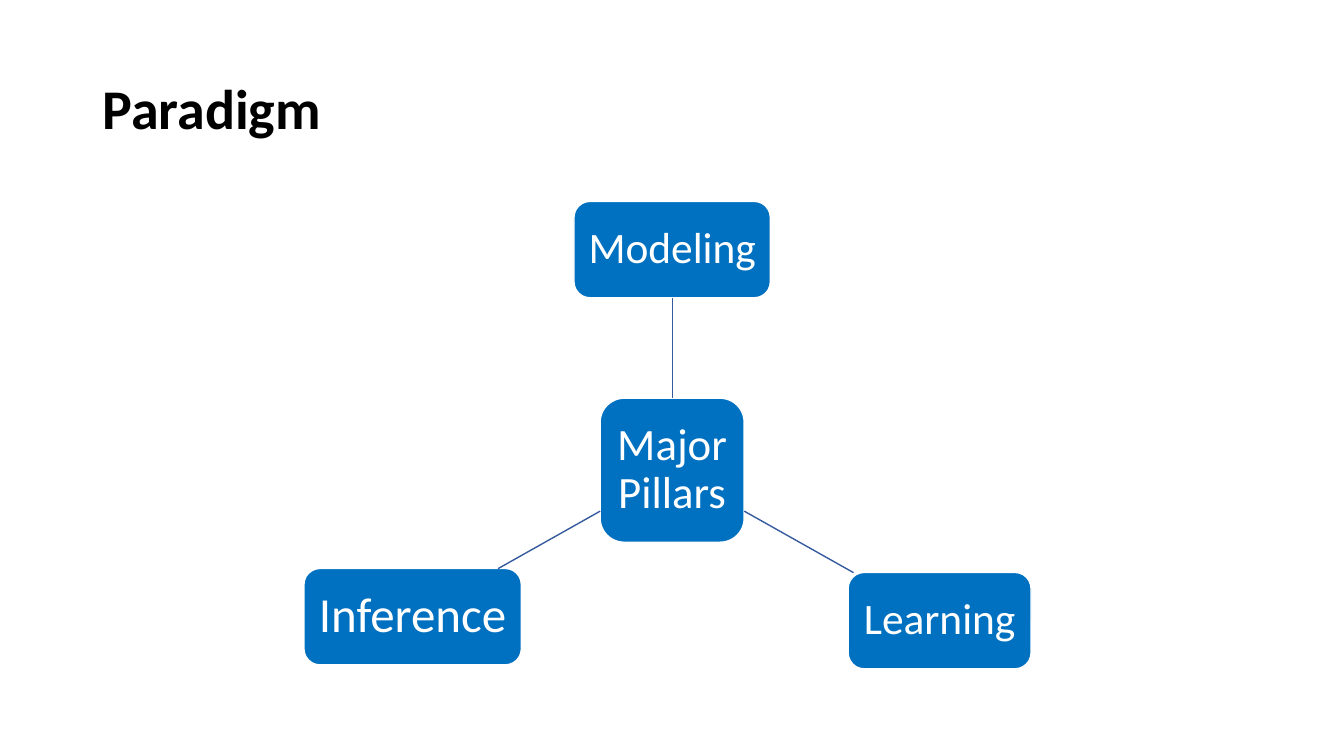
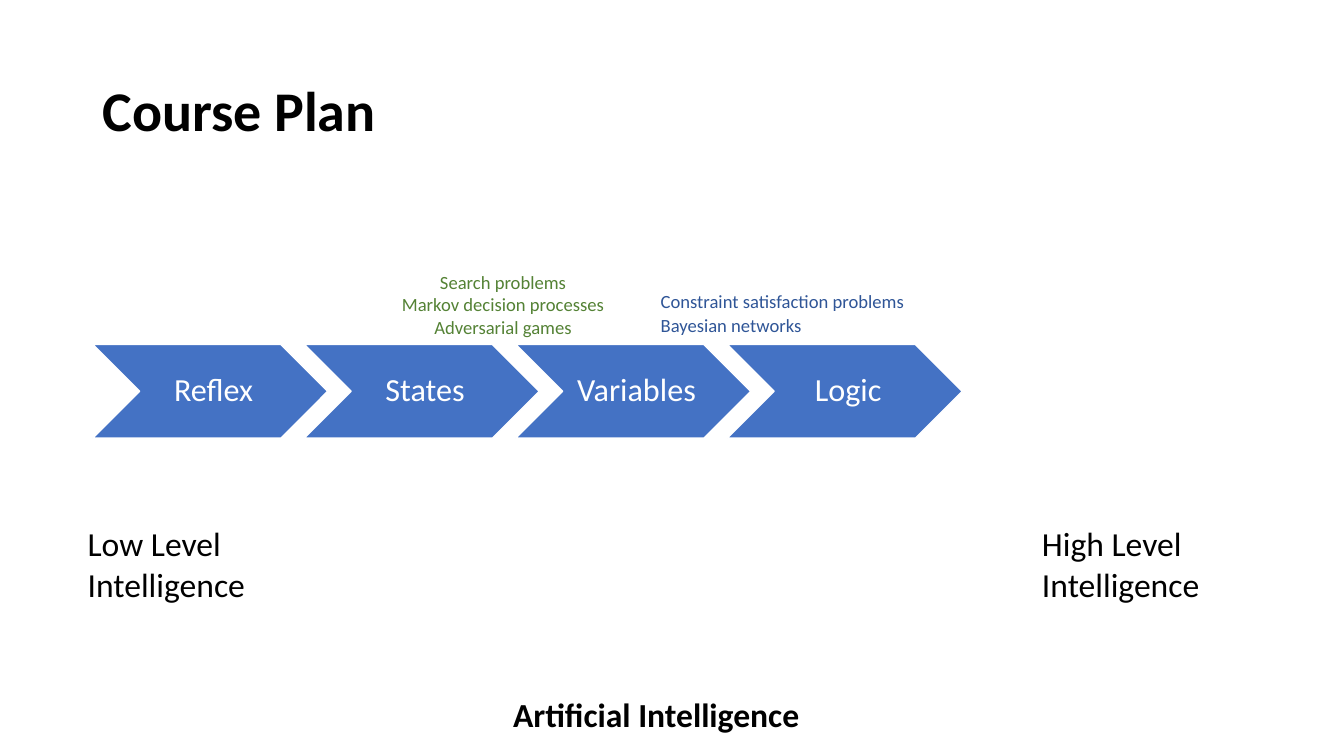
import pptx
import pptx.dml.color
import pptx.enum.shapes
import pptx.enum.text
import pptx.oxml.ns
import pptx.util
from lxml import etree

Cm, Pt = pptx.util.Cm, pptx.util.Pt
RGB = pptx.dml.color.RGBColor.from_string
SHAPE = pptx.enum.shapes.MSO_SHAPE
ALIGN = pptx.enum.text.PP_ALIGN
ANCHOR = pptx.enum.text.MSO_ANCHOR

FONT = "Calibri"
COLORS = {
    "text": "000000",
    "white": "FFFFFF",
    "pillar": "0070C0",
    "spoke": "365B9D",
    "step": "4472C4",
    "states": "548235",
    "variables": "2F5597",
}


def write(tf, text, size, color, align=ALIGN.LEFT, bold=False, spacing=1.0, before=0):
    """Fill a text frame, one paragraph per line of text, in a single style."""
    tf.text = text
    for p in tf.paragraphs:
        p.alignment = align
        p.line_spacing = spacing
        p.space_before = Pt(before)
        for r in p.runs:
            r.font.name = FONT
            r.font.size = Pt(size)
            r.font.bold = bold
            r.font.color.rgb = RGB(COLORS[color])


def add_block(s, preset, box, color, text, size, insets):
    """Add a filled shape with a white outline and centred white text."""
    sp = s.shapes.add_shape(preset, *[Cm(v) for v in box])
    sp.shadow.inherit = False
    sp.fill.solid()
    sp.fill.fore_color.rgb = RGB(COLORS[color])
    sp.line.color.rgb = RGB(COLORS["white"])
    sp.line.width = Pt(1)
    tf = sp.text_frame
    tf.word_wrap = True
    tf.vertical_anchor = ANCHOR.MIDDLE
    tf.margin_left, tf.margin_top, tf.margin_right, tf.margin_bottom = [Cm(v) for v in insets]
    write(tf, text, size, "white", ALIGN.CENTER, spacing=0.9)


prs = pptx.Presentation()
prs.slide_width, prs.slide_height = Cm(33.87), Cm(19.05)
layout = prs.slide_layouts.get_by_name("Title Only")

slides = []
for title, top in [("Paradigm", 0.97), ("Course Plan", 1.02)]:
    s = prs.slides.add_slide(layout)
    sp = s.shapes.title
    sp.left, sp.top, sp.width, sp.height = Cm(2.33), Cm(top), Cm(29.21), Cm(3.68)
    sp.text_frame.vertical_anchor = ANCHOR.MIDDLE
    sp.text_frame.auto_size = pptx.enum.text.MSO_AUTO_SIZE.NONE
    write(sp.text_frame, title, 40, "text", bold=True, spacing=0.9)
    slides.append(s)
paradigm, plan = slides

# Paradigm: boxes by their centres, spokes from the edge of the hub
hub_x, hub_y, hub_side = 16.94, 11.85, 3.63
pillar_height = 2.43
boxes = [  # name, centre x, centre y, width, height, text size
    ("Major Pillars", hub_x, hub_y, hub_side, hub_side, 32),
    ("Modeling", hub_x, 6.29, 4.95, pillar_height, 31),
    ("Learning", 23.68, 15.64, 4.61, pillar_height, 31),
    ("Inference", 10.4, 15.54, 5.48, pillar_height, 35),
]
for name, x, y, width, height, size in boxes:
    add_block(paradigm, SHAPE.ROUNDED_RECTANGLE, (x - width / 2, y - height / 2, width, height),
              "pillar", name, size, [0.15] * 4)

hub_left, hub_right, hub_top = hub_x - hub_side / 2, hub_x + hub_side / 2, hub_y - hub_side / 2
spokes = [
    (hub_x, hub_top, hub_x, 7.5),
    (hub_right, 12.88, 21.51, 14.43),
    (hub_left, 12.88, 12.55, 14.33),
]
for ends in spokes:
    spoke = paradigm.shapes.add_connector(
        pptx.enum.shapes.MSO_CONNECTOR.STRAIGHT, *[Cm(v) for v in ends])
    spoke.line.color.rgb = RGB(COLORS["spoke"])
    spoke.line.width = Pt(1)
    etree.SubElement(spoke.element.spPr, pptx.oxml.ns.qn("a:effectLst"))

# Course Plan: chevrons at an equal pitch
step_left, step_pitch = 2.34, 5.33
for i, name in enumerate(["Reflex", "States", "Variables", "Logic"]):
    add_block(plan, SHAPE.CHEVRON, (step_left + i * step_pitch, 8.68, 5.92, 2.36),
              "step", name, 23, (0.25, 0.08, 0.08, 0.08))

states = "Search problems\nMarkov decision processes\nAdversarial games"
variables = "Constraint satisfaction problems\nBayesian networks"
labels = [  # text, box, size, colour, alignment, bold, space before
    ("Low Level Intelligence", (1.96, 13.06, 5.11, 2.31), 24, "text", ALIGN.LEFT, False, 0),
    ("High Level Intelligence", (26.01, 13.06, 5.11, 2.31), 24, "text", ALIGN.LEFT, False, 0),
    ("Artificial Intelligence", (12.68, 17.35, 7.8, 1.27), 24, "text", ALIGN.LEFT, True, 0),
    (states, (9.48, 6.7, 6.4, 1.96), 13.3, "states", ALIGN.CENTER, False, 0),
    (variables, (16.4, 7.18, 7.24, 1.3), 13.3, "variables", ALIGN.LEFT, False, 1.1),
]
for text, box, size, color, align, bold, before in labels:
    tf = plan.shapes.add_textbox(*[Cm(v) for v in box]).text_frame
    tf.word_wrap = True
    write(tf, text, size, color, align, bold, before=before)

prs.save("out.pptx")
